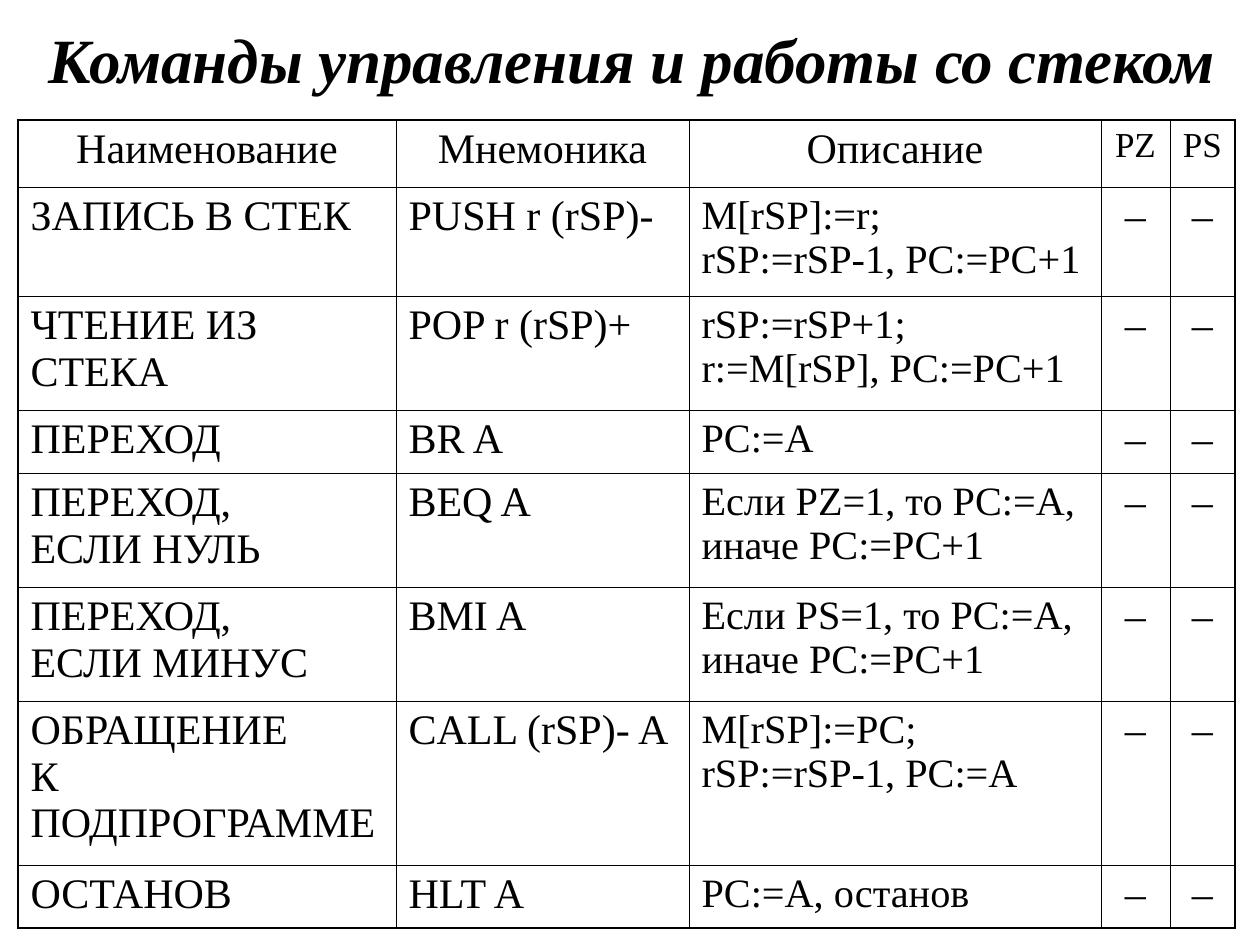
from lxml.etree import SubElement
from pptx import Presentation
from pptx.dml.color import RGBColor
from pptx.enum.text import MSO_ANCHOR, MSO_AUTO_SIZE, PP_ALIGN
from pptx.oxml.ns import qn
from pptx.util import Emu, Pt

SCALE = 914400 / 126
COLORS = {"ink": "000000"}
THIN, THICK = 0.45, 1.08
COLS = [378, 293, 412, 69, 65]
ROWS = [67, 109, 114, 63, 114, 114, 164, 63]
HEAD = ["Наименование", "Мнемоника", "Описание", "PZ", "PS"]
CODES = [
    ["ЗАПИСЬ В СТЕК", "PUSH r (rSP)-", "M[rSP]:=r;\nrSP:=rSP-1, PC:=PC+1"],
    ["ЧТЕНИЕ ИЗ СТЕКА", "POP r (rSP)+", "rSP:=rSP+1;\nr:=M[rSP], PC:=PC+1"],
    ["ПЕРЕХОД", "BR A", "PC:=A"],
    ["ПЕРЕХОД,\vЕСЛИ НУЛЬ", "BEQ A", "Если PZ=1, то PC:=A,\vиначе PC:=PC+1"],
    ["ПЕРЕХОД,\vЕСЛИ МИНУС", "BMI A", "Если PS=1, то PC:=A,\vиначе PC:=PC+1"],
    ["ОБРАЩЕНИЕ\vК ПОДПРОГРАММЕ", "CALL (rSP)- A", "M[rSP]:=PC;\nrSP:=rSP-1, PC:=A"],
    ["ОСТАНОВ", "HLT A", "PC:=A, останов"],
]
FLAGS = ["–", "–"]
HEAD_SIZES = [24, 24, 24, 20, 20]
BODY_SIZES = [24, 24, 23, 24, 24]


def px(n):
    """Turn pixels into EMU."""
    return Emu(round(n * SCALE))


def write(frame, text, align, **style):
    """Fill a text frame and format its runs."""
    frame.text = text
    for para in frame.paragraphs:
        para.alignment = align
        for run in para.runs:
            for key, value in {"name": "Times New Roman", **style}.items():
                setattr(run.font, key, value)
            run.font.color.rgb = RGBColor.from_string(COLORS["ink"])


def edge(cell, side, width):
    """Draw one border of a cell."""
    props = cell._tc.get_or_add_tcPr()
    line = SubElement(props, qn(f"a:ln{side}"), w=str(Pt(width)))
    fill = SubElement(line, qn("a:solidFill"))
    SubElement(fill, qn("a:srgbClr"), val=COLORS["ink"])


def add_title(slide, left, top, width, height):
    """Place the slide title in its box."""
    title = slide.shapes.title
    box = {"left": left, "top": top, "width": width, "height": height}
    for key, value in box.items():
        setattr(title, key, px(value))
    frame = title.text_frame
    frame.auto_size = MSO_AUTO_SIZE.NONE
    frame.vertical_anchor = MSO_ANCHOR.MIDDLE
    write(frame, "Команды управления и работы со стеком", PP_ALIGN.CENTER,
          size=Pt(36), bold=True, italic=True)


def add_grid(slide, left, top):
    """Place the command table with a thick outer frame."""
    data = [HEAD] + [code + FLAGS for code in CODES]
    last, end = len(ROWS) - 1, len(COLS) - 1
    table = slide.shapes.add_table(
        len(ROWS), len(COLS), px(left), px(top), px(sum(COLS)), px(sum(ROWS))).table
    table.first_row = table.horz_banding = False
    for col, width in zip(table.columns, COLS):
        col.width = px(width)
    for r, (row, height) in enumerate(zip(table.rows, ROWS)):
        row.height = px(height)
        sizes = BODY_SIZES if r else HEAD_SIZES
        for c, cell in enumerate(row.cells):
            center = r == 0 or c > 2
            write(cell.text_frame, data[r][c],
                  PP_ALIGN.CENTER if center else PP_ALIGN.LEFT, size=Pt(sizes[c]))
            outer = {"L": c == 0, "R": c == end, "T": r == 0, "B": r == last}
            for side, thick in outer.items():
                edge(cell, side, THICK if thick else THIN)
            cell.fill.background()


def main():
    """Build and save the slide."""
    deck = Presentation()
    deck.slide_width, deck.slide_height = px(1260), px(945)
    slide = deck.slides.add_slide(deck.slide_layouts[5])
    add_title(slide, 29, 21, 1206, 74)
    add_grid(slide, 18, 120)
    deck.save("out.pptx")


if __name__ == "__main__":
    main()
